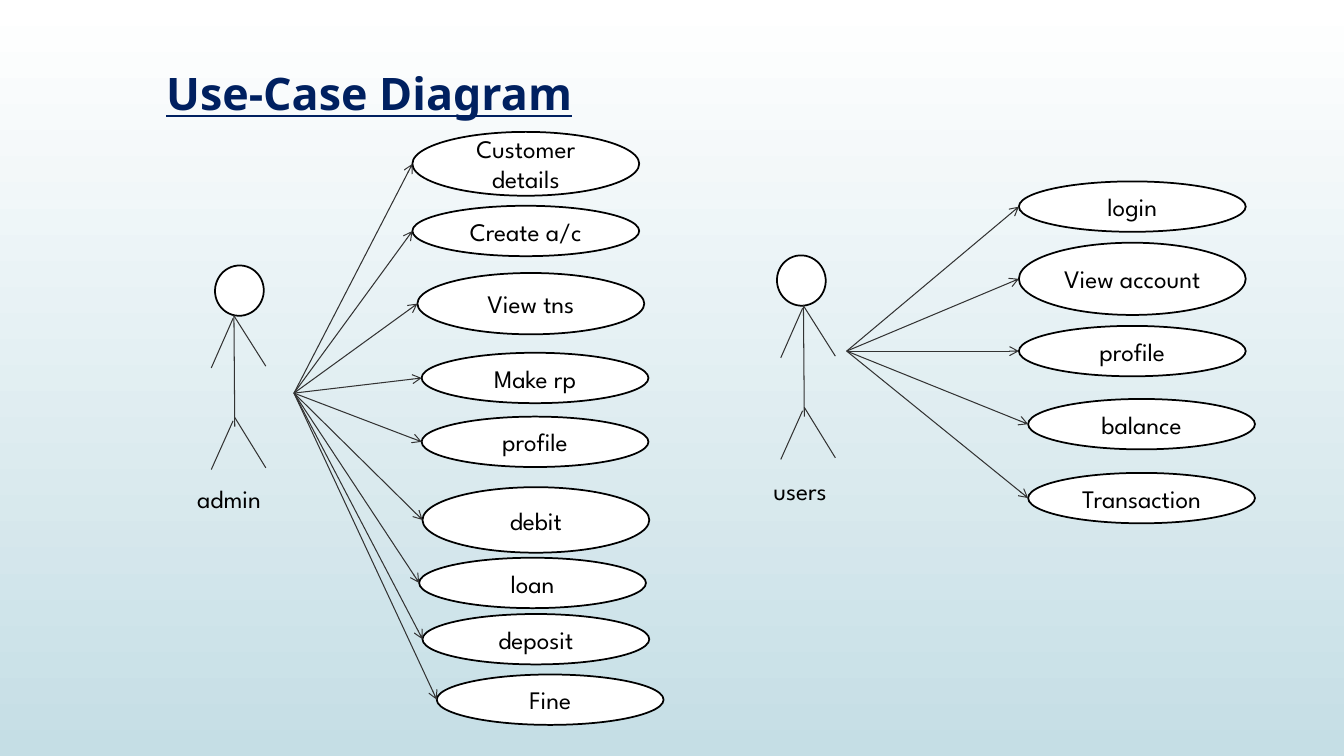
from lxml import etree
from pptx import Presentation, util as u
from pptx.dml.color import RGBColor
from pptx.enum import shapes, text
from pptx.oxml.ns import qn

COLUMNS, ROWS = 160, 90
CASE_WIDTH = 27


def color(value):
    return RGBColor.from_string(value)


class Diagram:
    ink, paper, stroke, navy = "000000", "FFFFFF", "333333", "002060"
    body_font, title_font = "League Spartan", "Noto Sans"

    def __init__(self, deck):
        self.column = deck.slide_width / COLUMNS
        self.row = deck.slide_height / ROWS
        self.slide = deck.slides.add_slide(deck.slide_layouts[6])

    def place(self, *lengths):
        units = (self.column, self.row) * 2
        return [round(length * unit) for length, unit in zip(lengths, units)]

    def background(self, top, bottom):
        fill = self.slide.background.fill
        fill.gradient()
        fill.gradient_angle = 270
        for stop, value in zip(fill.gradient_stops, (top, bottom)):
            stop.color.rgb = color(value)

    def set_words(self, frame, words, size=18, font=None, ink=None):
        paragraph = frame.paragraphs[0]
        paragraph.text = words
        paragraph.font.size = u.Pt(size)
        paragraph.font.name = font or self.body_font
        paragraph.font.color.rgb = color(ink or self.ink)
        return paragraph

    def label(self, words, left, top, width, height, wrap=False, **style):
        box = self.slide.shapes.add_textbox(*self.place(left, top, width, height))
        box.text_frame.word_wrap = wrap
        return self.set_words(box.text_frame, words, **style)

    def title(self, words, *area):
        heading = self.label(words, *area, wrap=True, size=32,
                             font=self.title_font, ink=self.navy)
        heading.font.bold = heading.font.underline = True

    def ellipse(self, left, top, width, height):
        oval = self.slide.shapes.add_shape(
            shapes.MSO_SHAPE.OVAL, *self.place(left, top, width, height))
        oval.shadow.inherit = False
        oval.fill.solid()
        oval.fill.fore_color.rgb = color(self.paper)
        oval.line.color.rgb = color(self.ink)
        oval.line.width = u.Pt(1.25)
        return oval

    def line(self, start, end, arrow=False):
        link = self.slide.shapes.add_connector(
            shapes.MSO_CONNECTOR.STRAIGHT, *self.place(*start, *end))
        link.line.color.rgb = color(self.stroke)
        link.line.width = u.Pt(0.75)
        properties = link._element.spPr
        if arrow:
            outline = properties.find(qn("a:ln"))
            etree.SubElement(outline, qn("a:tailEnd"), type="arrow")
        etree.SubElement(properties, qn("a:effectLst"))

    def actor(self, neck, head_left, tilt):
        x, y = neck
        self.ellipse(head_left, y - 5.9, 5.8, 6).rotation = tilt
        limbs = [
            (0, 0, 0.1, 13.3),
            (0, 0.1, 3.8, 6.1),
            (-0.1, 0.4, -2.7, 6.3),
            (0.1, 12.2, 3.8, 18.2),
            (-0.1, 12.6, -2.7, 18.4),
        ]
        for x1, y1, x2, y2 in limbs:
            self.line((x + x1, y + y1), (x + x2, y + y2))

    def use_case(self, words, left, top, height, source):
        oval = self.ellipse(left, top, CASE_WIDTH, height)
        oval.text_frame.word_wrap = True
        oval.text_frame.vertical_anchor = text.MSO_ANCHOR.MIDDLE
        self.set_words(oval.text_frame, words).alignment = text.PP_ALIGN.CENTER
        self.line(source, (left, top + height / 2), arrow=True)


def main():
    deck = Presentation()
    deck.slide_width, deck.slide_height = u.Inches(13.33), u.Inches(7.5)
    diagram = Diagram(deck)
    diagram.background("FFFFFF", "C5DEE5")
    diagram.title("Use-Case Diagram", 18.6, 7.2, 54.1, 12.5)

    diagram.actor((27.85, 37.5), 25.6, 10)
    diagram.label("admin", 22.3, 57, 11.9, 4.8)
    diagram.actor((95.65, 36.3), 92.5, 348.2)
    diagram.label("users", 90.9, 56, 9.5, 4.8)

    admin_cases = [
        ("Customer details", 49.1, 15.7, 7.6),
        ("Create a/c", 49.1, 24.5, 6),
        ("View tns", 49.7, 32.5, 7.3),
        ("Make rp", 50.2, 42, 6),
        ("profile", 50.2, 49.6, 6),
        ("debit", 50.3, 58, 7.8),
        ("loan", 49.9, 66.4, 6),
        ("deposit", 50.3, 73.1, 6),
        ("Fine", 52, 80.3, 6),
    ]
    user_cases = [
        ("login", 121.3, 21.6, 6),
        ("View account", 121.3, 28.9, 8.6),
        ("profile", 121.3, 38.8, 6),
        ("balance", 122.4, 47.5, 6),
        ("Transaction", 122.4, 56.3, 6),
    ]
    for source, cases in (((35, 46.8), admin_cases), ((100.8, 41.8), user_cases)):
        for case in cases:
            diagram.use_case(*case, source)

    deck.save("out.pptx")


if __name__ == "__main__":
    main()
